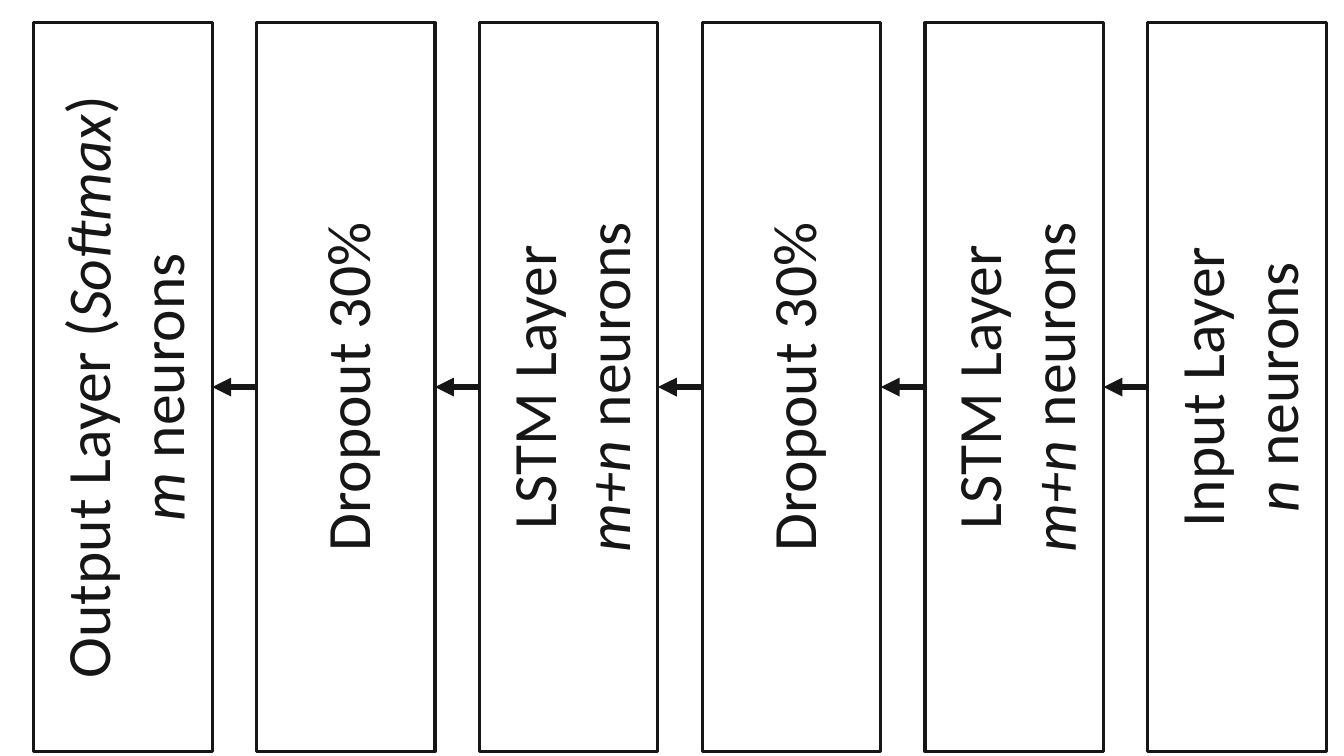
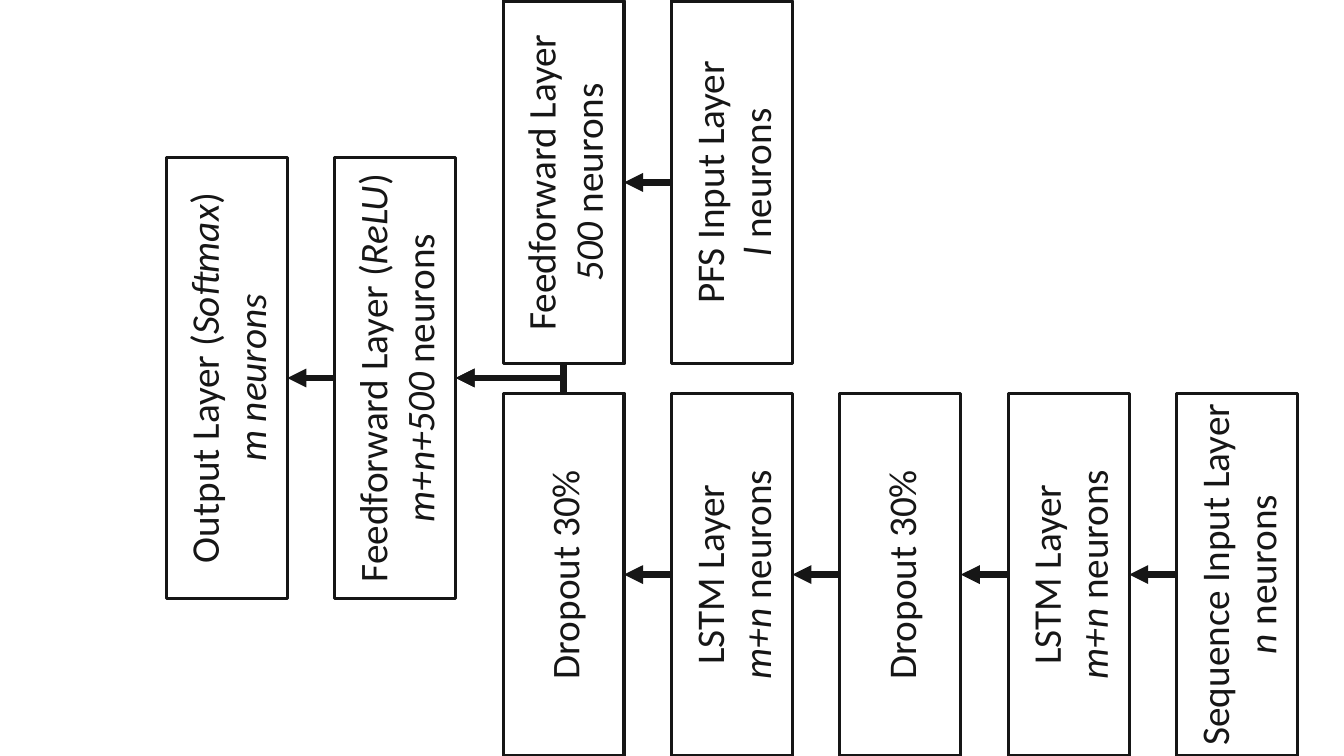
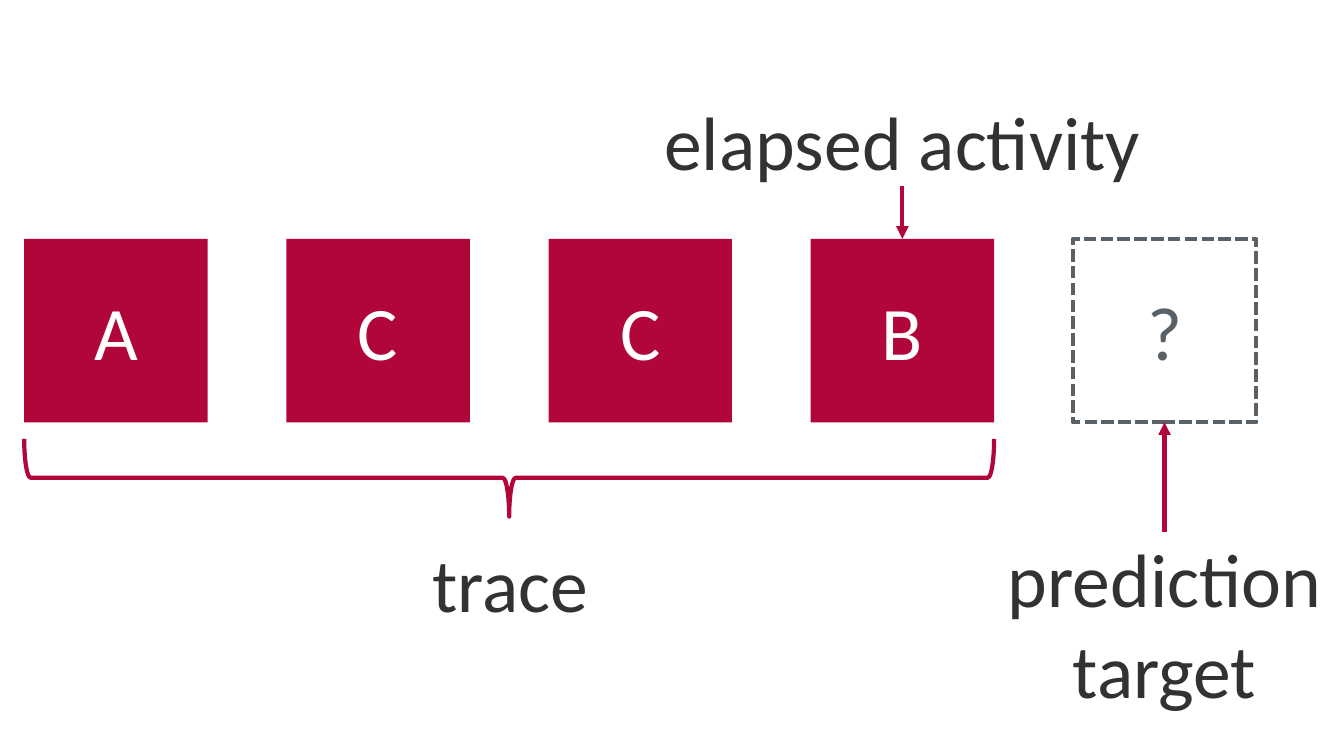
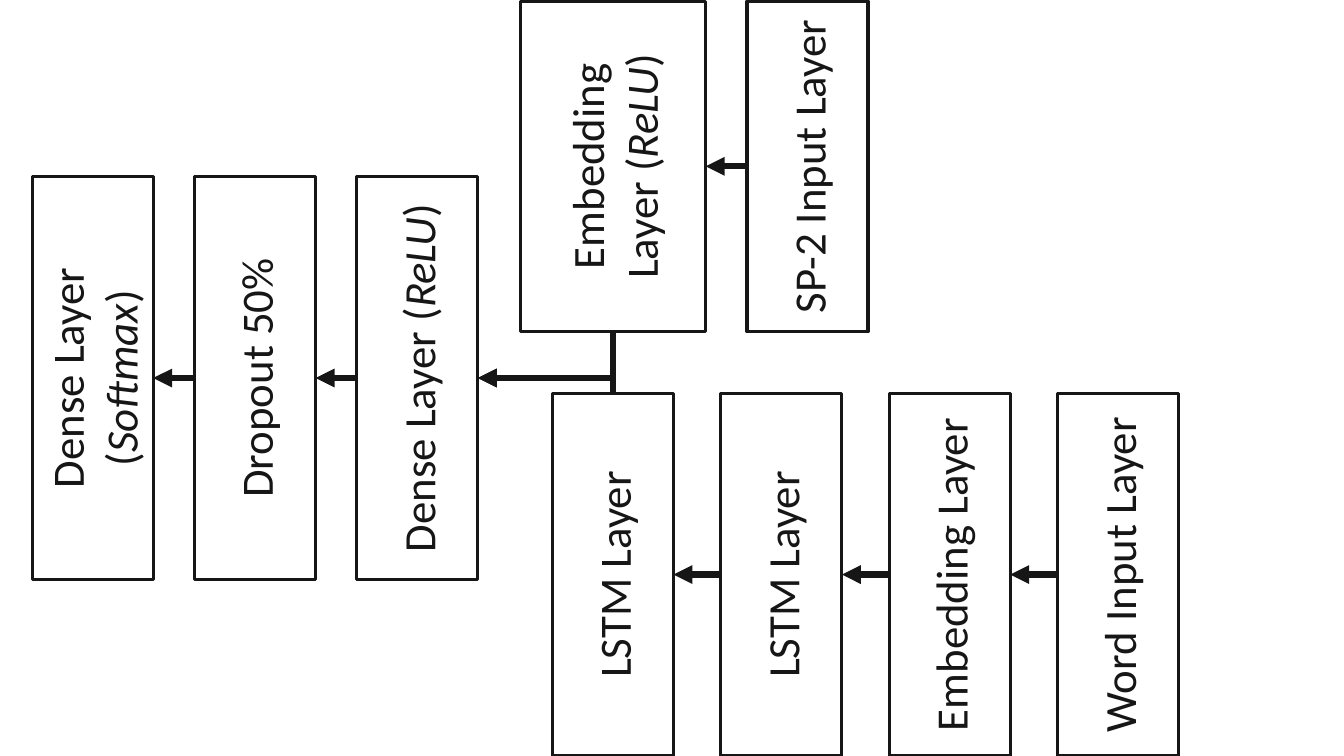
from dataclasses import dataclass

from lxml import etree
from pptx import Presentation
from pptx import util as u
from pptx.dml.color import RGBColor
from pptx.enum import dml, shapes, text
from pptx.oxml.ns import qn


@dataclass(frozen=True)
class Theme:
    font: str = "Calibri"
    ink: str = "161616"
    label: str = "323232"
    accent: str = "B1063A"
    muted: str = "5A6166"
    white: str = "FFFFFF"
    outline: float = 2.25
    flow: float = 4.5
    thin: float = 3
    tall_size: int = 44
    merged_size: int = 28
    word_size: int = 32
    trace_size: int = 54


THEME = Theme()
BLANK_LAYOUT = 6
WIDTH, HEIGHT = 13.33, 7.5
MIDDLE = HEIGHT / 2
LAYER = 1.2
LEFT_SIDE, BOTTOM_SIDE, RIGHT_SIDE, TOP_SIDE = range(4)


@dataclass
class Layer:
    box: object
    x: float
    y: float
    length: float
    depth: float

    def side(self, site):
        dx, dy = [(-1, 0), (0, 1), (1, 0), (0, -1)][site]
        return self.x + dx * self.depth / 2, self.y + dy * self.length / 2


def rgb(color):
    return RGBColor.from_string(color)


def style_line(line, color, width):
    line.color.rgb = rgb(color)
    line.width = u.Pt(width)


def write(frame, lines, size, color):
    frame.word_wrap = True
    for number, line in enumerate(lines):
        paragraph = frame.paragraphs[0] if number == 0 else frame.add_paragraph()
        paragraph.alignment = text.PP_ALIGN.CENTER
        font = paragraph.font
        font.name, font.size = THEME.font, u.Pt(size)
        font.color.rgb = rgb(color)
        for part, words in enumerate(line.split("*")):
            if words:
                run = paragraph.add_run()
                run.text = words
                if part % 2:
                    run.font.italic = True


def add_box(slide, preset, x, y, width, height, fill=None, outline=None, weight=THEME.outline):
    box = slide.shapes.add_shape(
        preset, u.Inches(x - width / 2), u.Inches(y - height / 2), u.Inches(width), u.Inches(height))
    box.shadow.inherit = False
    if fill:
        box.fill.solid()
        box.fill.fore_color.rgb = rgb(fill)
    else:
        box.fill.background()
    if outline:
        style_line(box.line, outline, weight)
    else:
        box.line.fill.background()
    box.text_frame.vertical_anchor = text.MSO_ANCHOR.MIDDLE
    return box


def add_layer(slide, caption, x, y, length, size, depth=LAYER):
    box = add_box(slide, shapes.MSO_SHAPE.RECTANGLE, x, y, length, depth, outline=THEME.ink)
    box.rotation = 270
    write(box.text_frame, caption.split("|"), size, THEME.ink)
    return Layer(box, x, y, length, depth)


def add_arrow(slide, kind, color, width):
    arrow = slide.shapes.add_connector(kind, 0, 0, 0, 0)
    style_line(arrow.line, color, width)
    properties = arrow._element.spPr
    etree.SubElement(properties.find(qn("a:ln")), qn("a:tailEnd"), type="triangle")
    etree.SubElement(properties, qn("a:effectLst"))
    return arrow


def flow(slide, source, target):
    arrow = add_arrow(slide, shapes.MSO_CONNECTOR.STRAIGHT, THEME.ink, THEME.flow)
    arrow.begin_connect(source.box, LEFT_SIDE)
    arrow.end_connect(target.box, RIGHT_SIDE)
    start, end = source.side(LEFT_SIDE), target.side(RIGHT_SIDE)
    arrow.begin_x, arrow.begin_y = map(u.Inches, start)
    arrow.end_x, arrow.end_y = map(u.Inches, end)


def merge(slide, source, target, site):
    arrow = add_arrow(slide, shapes.MSO_CONNECTOR.ELBOW, THEME.ink, THEME.flow)
    arrow.begin_connect(source.box, site)
    arrow.end_connect(target.box, RIGHT_SIDE)
    (x1, y1), (x2, y2) = source.side(site), target.side(RIGHT_SIDE)
    rise, run = abs(y2 - y1), x1 - x2
    properties = arrow._element.spPr
    properties.find(qn("a:prstGeom")).set("prst", "bentConnector2")
    frame = properties.find(qn("a:xfrm"))
    for flip in ("flipH", "flipV"):
        frame.attrib.pop(flip, None)
    frame.set("rot", str((90 if site == BOTTOM_SIDE else 270) * 60000))
    if site == TOP_SIDE:
        frame.set("flipV", "1")
    arrow.left = u.Inches((x1 + x2 - rise) / 2)
    arrow.top = u.Inches((y1 + y2 - run) / 2)
    arrow.width, arrow.height = u.Inches(rise), u.Inches(run)


def add_chain(slide, captions, first, pitch, y, length, size):
    layers = [add_layer(slide, caption, first + column * pitch, y, length, size)
              for column, caption in enumerate(captions)]
    link(slide, layers)
    return layers


def link(slide, layers):
    for target, source in zip(layers, layers[1:]):
        flow(slide, source, target)


def add_label(slide, words, left, top, width, height, inset=0):
    label = slide.shapes.add_textbox(*map(u.Inches, (left, top, width, height)))
    frame = label.text_frame
    frame.margin_top = frame.margin_bottom = u.Inches(inset)
    write(frame, [words], THEME.trace_size, THEME.label)
    frame.auto_size = text.MSO_AUTO_SIZE.SHAPE_TO_FIT_TEXT
    return label


def point(slide, label, label_site, box, box_site):
    arrow = add_arrow(slide, shapes.MSO_CONNECTOR.STRAIGHT, THEME.accent, THEME.thin)
    arrow.begin_connect(label, label_site)
    arrow.end_connect(box, box_site)


def build_sequence_network(slide):
    captions = ["Output Layer (*Softmax*)|*m* neurons", "Dropout 30%",
                "LSTM Layer|*m+n *neurons", "Dropout 30%",
                "LSTM Layer|*m+n *neurons", "Input Layer|*n* neurons"]
    depth, first, pitch, y, length = 1.77, 1.22, 2.21, 3.84, 7.23
    layers = [add_layer(slide, caption, first + column * pitch, y, length, THEME.tall_size, depth)
              for column, caption in enumerate(captions)]
    link(slide, layers)


def build_feature_network(slide):
    first, pitch, size, branch = 2.25, 1.67, THEME.merged_size, 3.6
    branch_start = first + 2 * pitch
    head = add_chain(slide, ["Output Layer (*Softmax*)|*m neurons*",
                             "Feedforward Layer (*ReLU*)|*m+n+500* neurons"],
                     first, pitch, MIDDLE, 4.37, size)
    features = add_chain(slide, ["Feedforward Layer|*500* neurons", "PFS Input Layer|*l* neurons"],
                         branch_start, pitch, 1.81, branch, size)
    sequence = add_chain(slide, ["Dropout 30%", "LSTM Layer|*m+n *neurons", "Dropout 30%",
                                 "LSTM Layer|*m+n *neurons", "Sequence Input Layer|*n* neurons"],
                         branch_start, pitch, 5.7, branch, size)
    merge(slide, features[0], head[-1], BOTTOM_SIDE)
    merge(slide, sequence[0], head[-1], TOP_SIDE)


def build_trace(slide):
    side, first, pitch, y = 1.82, 1.15, 2.6, 3.28
    square = shapes.MSO_SHAPE.RECTANGLE
    activities = "ACCB"
    for column, activity in enumerate(activities):
        elapsed = add_box(slide, square, first + column * pitch, y, side, side, fill=THEME.accent)
        write(elapsed.text_frame, [activity], THEME.trace_size, THEME.white)
    target = add_box(slide, square, first + len(activities) * pitch, y, side, side,
                     outline=THEME.muted, weight=THEME.thin)
    target.line.dash_style = dml.MSO_LINE.SQUARE_DOT
    write(target.text_frame, ["?"], THEME.trace_size, THEME.muted)

    span = (len(activities) - 1) * pitch
    brace = add_box(slide, shapes.MSO_SHAPE.RIGHT_BRACE, first + span / 2, 4.74, 0.77, span + side,
                    outline=THEME.accent, weight=THEME.thin)
    brace.rotation = 90

    add_label(slide, "trace", 3.56, 5.28, 3, 1.01, inset=0.05)
    prediction = add_label(slide, "prediction target", 9.89, 5.28, 3.32, 1.82)
    activity_label = add_label(slide, "elapsed activity", 5.03, 0.94, 7.84, 0.91)
    point(slide, prediction, 0, target, 2)
    point(slide, activity_label, 2, elapsed, 0)


def build_word_network(slide):
    size, join, branch_y, branch_length = THEME.word_size, 6.08, 1.65, 3.28
    head = add_chain(slide, ["Dense Layer (*Softmax*)", "Dropout 50%", "Dense Layer (*ReLU*)"],
                     0.92, 1.61, MIDDLE, 4, size)
    embedding = add_layer(slide, "Embedding Layer (*ReLU*)", join, branch_y, branch_length, size, 1.84)
    context = add_layer(slide, "SP-2 Input Layer", 8.01, branch_y, branch_length, size)
    flow(slide, context, embedding)
    words = add_chain(slide, ["LSTM Layer", "LSTM Layer", "Embedding Layer", "Word Input Layer"],
                      join, 1.67, 5.7, 3.6, size)
    merge(slide, embedding, head[-1], BOTTOM_SIDE)
    merge(slide, words[0], head[-1], TOP_SIDE)


def main():
    deck = Presentation()
    deck.slide_width, deck.slide_height = u.Inches(WIDTH), u.Inches(HEIGHT)
    for build in (build_sequence_network, build_feature_network, build_trace, build_word_network):
        build(deck.slides.add_slide(deck.slide_layouts[BLANK_LAYOUT]))
    deck.save("out.pptx")


if __name__ == "__main__":
    main()
